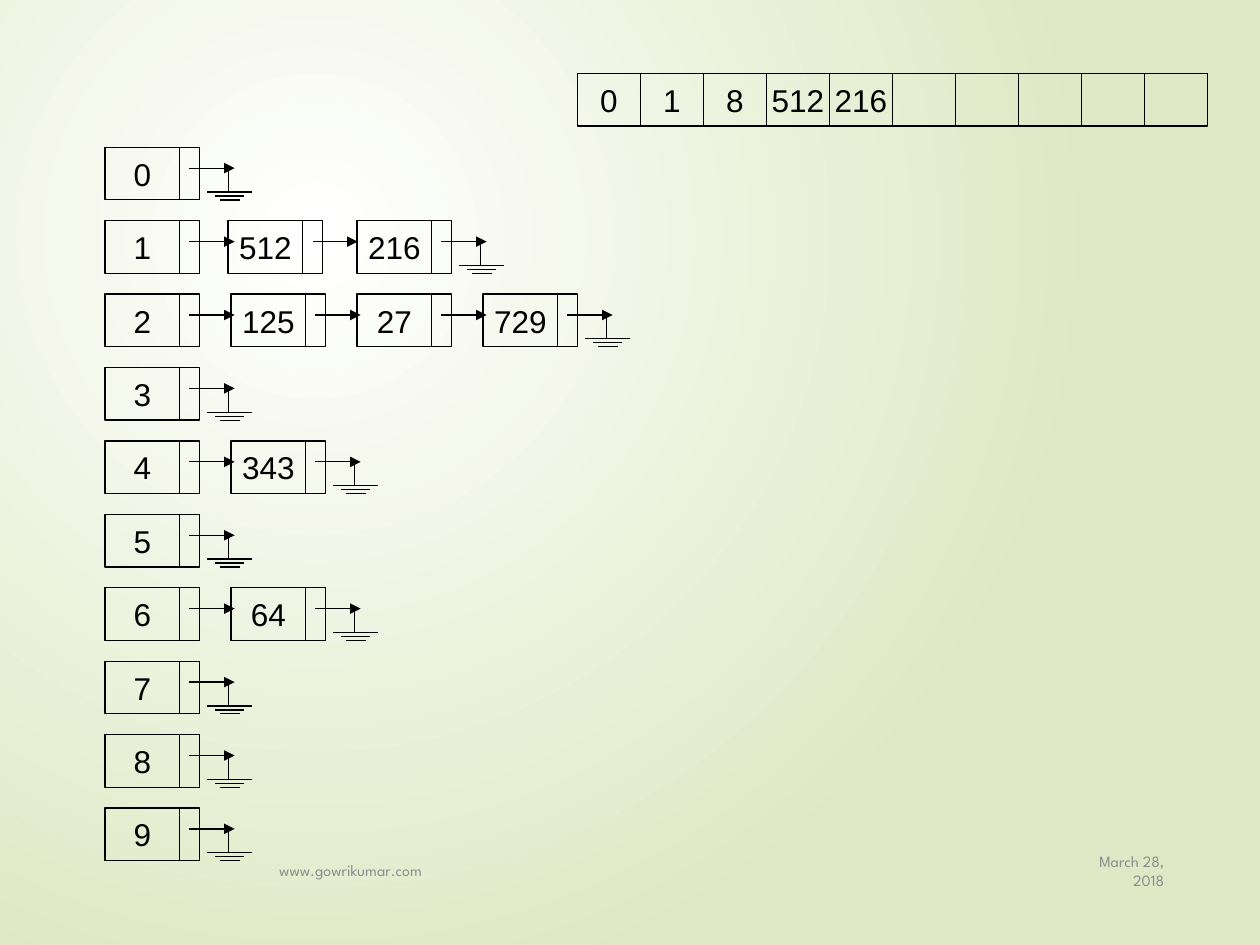
from dataclasses import dataclass

import pptx
import pptx.dml.color
import pptx.enum.shapes
import pptx.enum.text
import pptx.oxml.ns
import pptx.util
from lxml import etree

Cm, Pt = pptx.util.Cm, pptx.util.Pt
RGB = pptx.dml.color.RGBColor
ALIGN = pptx.enum.text.PP_ALIGN
qn = pptx.oxml.ns.qn


@dataclass(frozen=True)
class Theme:
    ink: RGB = RGB(0x00, 0x00, 0x00)
    muted: RGB = RGB(0x8C, 0x8C, 0x8C)
    glow: RGB = RGB(0xFF, 0xFF, 0xFF)
    edge: RGB = RGB(0xDF, 0xE8, 0xC4)
    key_font: str = "Arial"
    footer_font: str = "League Spartan"
    key_size: Pt = Pt(18)
    footer_size: Pt = Pt(9)
    stroke: Pt = Pt(0.75)


THEME = Theme()
KEY_FORMAT = {"name": THEME.key_font, "size": THEME.key_size}
FOOTER_FORMAT = {"name": THEME.footer_font, "size": THEME.footer_size}

# Lengths in centimetres
CELL_HEIGHT = 1.06
KEY_WIDTH, POINTER_WIDTH = 1.5, 0.41
BUCKET_LEFT, BUCKET_TOP = 2.12, 2.97
NODE_STEP, BUCKET_STEP = 2.54, 1.48
ARRAY_LEFT, ARRAY_TOP, ARRAY_STEP = 11.64, 1.48, 1.27

ARRAY = ["0", "1", "8", "512", "216", "", "", "", "", ""]
CHAINS = {1: ["512", "216"], 2: ["125", "27", "729"], 4: ["343"], 6: ["64"]}
NUDGES = {"512": -0.06}  # this node sits slightly left of its column


def paint_background(slide):
    """Radial glow centred in the upper left quarter."""
    fill = slide.background.fill
    fill.gradient()
    for stop, color in zip(fill.gradient_stops, (THEME.glow, THEME.edge)):
        stop.color.rgb = color
    gradient = slide.element.find(".//" + qn("a:gradFill"))
    linear = gradient.find(qn("a:lin"))
    circle = etree.Element(qn("a:path"), {"path": "circle"})
    etree.SubElement(circle, qn("a:fillToRect"),
                     {"l": "50000", "t": "50000", "r": "100000", "b": "100000"})
    gradient.replace(linear, circle)


def write(frame, text, text_format, color, align, wrap):
    frame.word_wrap = wrap
    frame.vertical_anchor = pptx.enum.text.MSO_ANCHOR.MIDDLE
    paragraph = frame.paragraphs[0]
    paragraph.alignment = align
    run = paragraph.add_run()
    run.text = text
    for attribute, value in text_format.items():
        setattr(run.font, attribute, value)
    run.font.color.rgb = color


def add_cell(shapes, left, top, width, text=""):
    cell = shapes.add_shape(pptx.enum.shapes.MSO_SHAPE.RECTANGLE,
                            Cm(left), Cm(top), Cm(width), Cm(CELL_HEIGHT))
    cell.shadow.inherit = False
    cell.fill.background()
    cell.line.color.rgb = THEME.ink
    cell.line.width = THEME.stroke
    if text:
        write(cell.text_frame, text, KEY_FORMAT, THEME.ink, ALIGN.CENTER, False)


def add_line(shapes, x1, y1, x2, y2, arrow=False):
    line = shapes.add_connector(pptx.enum.shapes.MSO_CONNECTOR.STRAIGHT,
                                Cm(x1), Cm(y1), Cm(x2), Cm(y2))
    line.line.color.rgb = THEME.ink
    line.line.width = THEME.stroke
    properties = line.element.spPr
    if arrow:
        etree.SubElement(properties.find(qn("a:ln")), qn("a:tailEnd"),
                         {"type": "triangle"})
    etree.SubElement(properties, qn("a:effectLst"))


def add_ground(shapes, left, top):
    """Null pointer symbol: a stem above three shrinking bars."""
    add_line(shapes, left + 2.49, top + 0.9, left + 2.49, top + 0.42)
    center = left + 2.51
    for drop, half in ((0.9, 0.46), (0.98, 0.29), (1.06, 0.2)):
        add_line(shapes, center - half, top + drop, center + half, top + drop)


def add_node(slide, left, top, key, is_last):
    shapes = slide.shapes.add_group_shape().shapes
    add_cell(shapes, left, top, KEY_WIDTH, key)
    add_cell(shapes, left + KEY_WIDTH, top, POINTER_WIDTH)
    add_line(shapes, left + 1.7, top + 0.42, left + 2.61, top + 0.42, arrow=True)
    if is_last:
        add_ground(shapes, left, top)


def add_bucket(slide, digit):
    keys = [str(digit)] + CHAINS.get(digit, [])
    top = BUCKET_TOP + digit * BUCKET_STEP
    for position, key in enumerate(keys):
        left = BUCKET_LEFT + position * NODE_STEP + NUDGES.get(key, 0)
        add_node(slide, left, top, key, position == len(keys) - 1)


def add_footer(slide, left, width, text, align):
    box = slide.shapes.add_textbox(Cm(left), Cm(17.04), Cm(width), Cm(1.02))
    write(box.text_frame, text, FOOTER_FORMAT, THEME.muted, align, True)


def main():
    deck = pptx.Presentation()
    deck.slide_width, deck.slide_height = Cm(25.4), Cm(19.05)
    slide = deck.slides.add_slide(deck.slide_layouts[6])
    paint_background(slide)
    add_footer(slide, 21.59, 2.13, "March 28, 2018", ALIGN.RIGHT)
    add_footer(slide, 5.38, 15.88, "www.gowrikumar.com", ALIGN.LEFT)
    for index, key in enumerate(ARRAY):
        add_cell(slide.shapes, ARRAY_LEFT + index * ARRAY_STEP, ARRAY_TOP,
                 ARRAY_STEP, key)
    for digit in range(10):
        add_bucket(slide, digit)
    deck.save("out.pptx")


if __name__ == "__main__":
    main()
